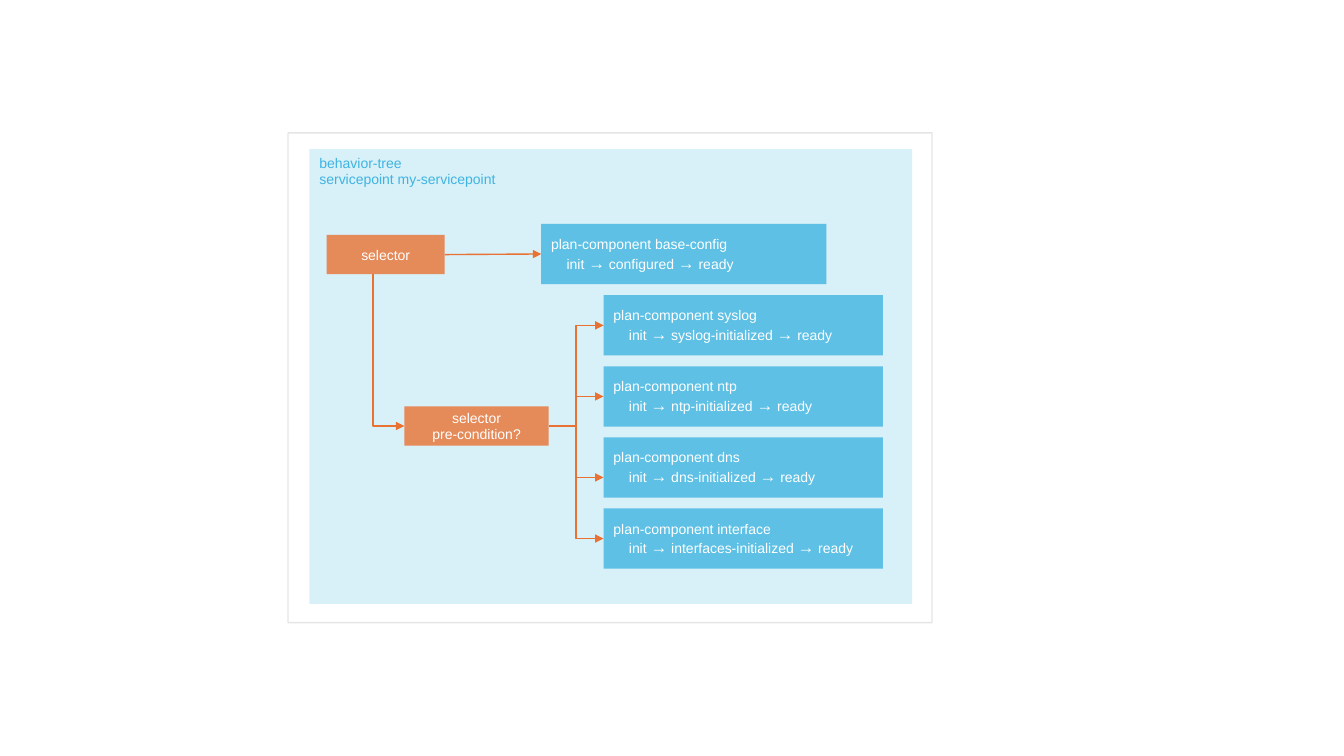
from lxml.etree import SubElement
from pptx import Presentation
from pptx.dml.color import RGBColor
from pptx.enum.shapes import MSO_CONNECTOR, MSO_SHAPE
from pptx.enum.text import MSO_ANCHOR, PP_ALIGN
from pptx.oxml.ns import qn
from pptx.util import Cm, Pt

COLORS = {"blue": "3FB4E0", "orange": "E97132", "gray": "808080", "white": "FFFFFF"}
FONT = "Arial"
TEXT_SIZE, ARROW_SIZE = 10, 12
ARROW = "→"

TREE_LINES = ["behavior-tree", "servicepoint my-servicepoint"]
SELECTOR_LINES = ["selector"]
CONDITION_LINES = ["selector", "pre-condition?"]
BASE_COMPONENT = ("base-config", "configured")
COMPONENTS = [
    ("syslog", "syslog-initialized"),
    ("ntp", "ntp-initialized"),
    ("dns", "dns-initialized"),
    ("interface", "interfaces-initialized"),
]

FRAME = (7.26, 3.35, 16.23, 12.34)
PANEL = (7.8, 3.76, 15.19, 11.46)
SELECTOR = (8.23, 5.92, 2.98, 0.99)
CONDITION = (10.19, 10.24, 3.64, 0.99)
BASE = (13.64, 5.64, 7.19, 1.52)
LIST_LEFT, LIST_TOP, LIST_WIDTH, LIST_STEP = 15.21, 7.44, 7.04, 1.79
ROW_HEIGHT = BASE[3]
DROP_LEFT = 9.4
DNS_ARROW_SHIFT = 0.25
STATE_INDENT = 0.39


def set_alpha(element, percent):
    color = next(element.iter(qn("a:srgbClr")))
    SubElement(color, qn("a:alpha")).set("val", str(percent * 1000))


def add_box(place, fill=None, alpha=100):
    shape = slide.shapes.add_shape(MSO_SHAPE.RECTANGLE, *map(Cm, place))
    shape.shadow.inherit = False
    if fill:
        shape.fill.solid()
        shape.fill.fore_color.rgb = RGBColor.from_string(COLORS[fill])
        set_alpha(shape.fill._xPr, alpha)
        shape.line.fill.background()
    else:
        shape.fill.background()
    return shape


def write_lines(shape, lines, color="white", align=PP_ALIGN.LEFT, anchor=MSO_ANCHOR.MIDDLE):
    frame = shape.text_frame
    frame.word_wrap = True
    frame.vertical_anchor = anchor
    for index, pieces in enumerate(lines):
        paragraph = frame.paragraphs[0] if index == 0 else frame.add_paragraph()
        paragraph.alignment = align
        for piece in pieces:
            run = paragraph.add_run()
            run.text = piece
            run.font.name = FONT
            run.font.size = Pt(ARROW_SIZE if piece == ARROW else TEXT_SIZE)
            run.font.color.rgb = RGBColor.from_string(COLORS[color])
    return frame


def add_component(place, component):
    name, state = component
    shape = add_box(place, "blue", 80)
    states = ["init ", ARROW, f" {state} ", ARROW, " ready"]
    frame = write_lines(shape, [[f"plan-component {name}"], states])
    properties = frame.paragraphs[1]._p.get_or_add_pPr()
    properties.set("marL", str(Cm(STATE_INDENT)))
    return shape


def add_arrow(kind, start, end):
    connector = slide.shapes.add_connector(kind, *map(Cm, start + end))
    connector.line.color.rgb = RGBColor.from_string(COLORS["orange"])
    connector.line.width = Pt(1)
    SubElement(connector.line._get_or_add_ln(), qn("a:tailEnd")).set("type", "triangle")
    SubElement(connector._element.spPr, qn("a:effectLst"))
    return connector


def add_drop_arrow(start, end):
    connector = add_arrow(MSO_CONNECTOR.ELBOW, start, end)
    width, height = end[0] - start[0], end[1] - start[1]
    connector.left = Cm((start[0] + end[0] - height) / 2)
    connector.top = Cm((start[1] + end[1] - width) / 2)
    connector.width, connector.height = Cm(height), Cm(width)
    properties = connector._element.spPr
    properties.find(qn("a:prstGeom")).set("prst", "bentConnector2")
    transform = properties.find(qn("a:xfrm"))
    transform.set("rot", "16200000")
    transform.set("flipH", "1")


def left_middle(place):
    return place[0], place[1] + place[3] / 2


def right_middle(place):
    return place[0] + place[2], place[1] + place[3] / 2


presentation = Presentation()
presentation.slide_width, presentation.slide_height = Cm(33.87), Cm(19.05)
slide = presentation.slides.add_slide(presentation.slide_layouts[6])

border = add_box(FRAME)
border.line.color.rgb = RGBColor.from_string(COLORS["gray"])
border.line.width = Pt(1)
set_alpha(border.line._get_or_add_ln(), 20)

panel = add_box(PANEL, "blue", 20)
write_lines(panel, [[line] for line in TREE_LINES], "blue", anchor=MSO_ANCHOR.TOP)

selector = add_box(SELECTOR, "orange", 80)
write_lines(selector, [[line] for line in SELECTOR_LINES], align=PP_ALIGN.CENTER)
condition = add_box(CONDITION, "orange", 80)
write_lines(condition, [[line] for line in CONDITION_LINES], align=PP_ALIGN.CENTER)

base = add_component(BASE, BASE_COMPONENT)
base_arrow = add_arrow(MSO_CONNECTOR.STRAIGHT, right_middle(SELECTOR), left_middle(BASE))
base_arrow.begin_connect(selector, 3)
base_arrow.end_connect(base, 1)
add_drop_arrow((DROP_LEFT, SELECTOR[1] + SELECTOR[3]), left_middle(CONDITION))

branch_start = right_middle(CONDITION)
for row, component in enumerate(COMPONENTS):
    place = (LIST_LEFT, LIST_TOP + row * LIST_STEP, LIST_WIDTH, ROW_HEIGHT)
    add_component(place, component)
    target_left, target_top = left_middle(place)
    if component[0] == "dns":
        target_top += DNS_ARROW_SHIFT
    if component is COMPONENTS[-1]:
        trunk_left = (branch_start[0] + LIST_LEFT) / 2
        add_drop_arrow((trunk_left, branch_start[1]), (target_left, target_top))
    else:
        add_arrow(MSO_CONNECTOR.ELBOW, branch_start, (target_left, target_top))

presentation.save("out.pptx")
